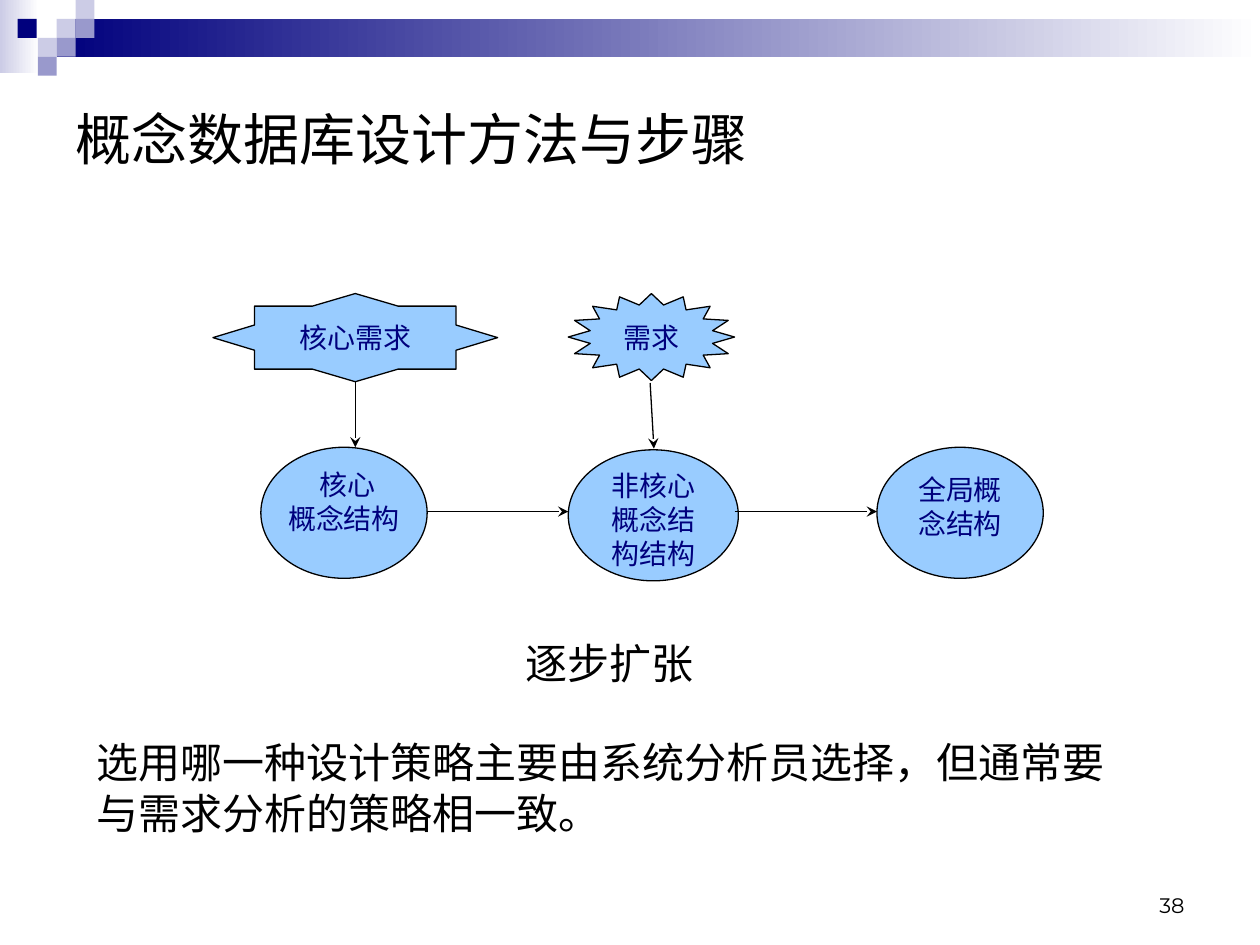
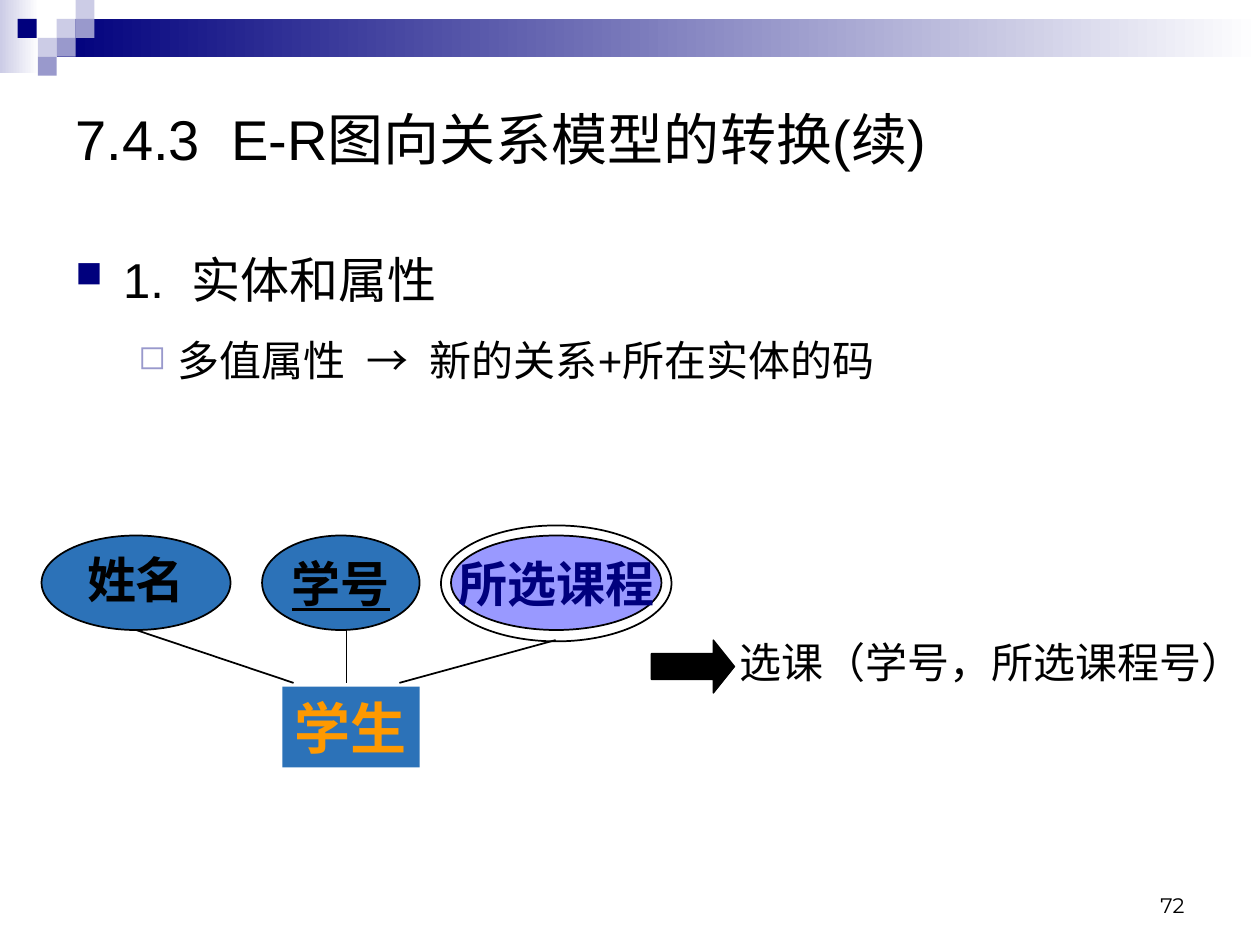
from lxml.etree import SubElement
from pptx import Presentation
from pptx.dml.color import RGBColor
from pptx.enum.shapes import MSO_CONNECTOR, MSO_SHAPE
from pptx.enum.text import MSO_ANCHOR, PP_ALIGN
from pptx.oxml.ns import qn
from pptx.util import Pt

EMU_PER_PX = 9144  # 100 px to the inch

BLACK = RGBColor(0x00, 0x00, 0x00)
WHITE = RGBColor(0xFF, 0xFF, 0xFF)
NAVY = RGBColor(0x00, 0x00, 0x7D)
LAVENDER = RGBColor(0x99, 0x99, 0xCC)
PALE_LAVENDER = RGBColor(0xCC, 0xCC, 0xE6)
SKY = RGBColor(0x99, 0xCC, 0xFF)
BLUE = RGBColor(0x2C, 0x72, 0xB8)
VIOLET = RGBColor(0x99, 0x99, 0xFF)
ORANGE = RGBColor(0xFF, 0x99, 0x00)

SANS = "Arial"
SERIF = "Times New Roman"
CHINESE = "Noto Sans CJK SC"
NUMBER_FONT = "Montserrat"

GAP = " "  # a run of its own, drawn twice as wide as a plain space

SQUARES = [(45, 15, PALE_LAVENDER), (60, 0, PALE_LAVENDER), (60, 15, LAVENDER),
           (30, 30, PALE_LAVENDER), (14, 15, NAVY), (45, 30, LAVENDER),
           (30, 45, LAVENDER)]


def px(length):
    return int(length * EMU_PER_PX)


def add_span(para, text, size, font=SERIF, color=BLACK, bold=False, underline=False):
    span = para.add_run()
    span.text = text
    span.font.size = Pt(size)
    span.font.name = font
    span.font.color.rgb = color
    span.font.bold = bold
    span.font.underline = underline
    properties = span.font._element
    SubElement(properties, qn("a:ea")).set("typeface", CHINESE)
    if text == GAP:
        properties.set("spc", str(size * 28))


def indent(para, left, hanging=0):
    properties = para._p.get_or_add_pPr()
    properties.set("marL", str(px(left)))
    properties.set("indent", str(px(-hanging)))


def add_bullet(para, symbol, color, percent):
    properties = para._p.get_or_add_pPr()
    fill = SubElement(SubElement(properties, qn("a:buClr")), qn("a:srgbClr"))
    fill.set("val", str(color))
    SubElement(properties, qn("a:buSzPct")).set("val", str(percent * 1000))
    SubElement(properties, qn("a:buChar")).set("char", symbol)


def set_up_frame(shape, anchor, insets=(10, 5), wrap=True):
    frame = shape.text_frame
    frame.word_wrap = wrap
    frame.vertical_anchor = anchor
    frame.margin_left = frame.margin_right = px(insets[0])
    frame.margin_top = frame.margin_bottom = px(insets[1])
    return frame


def add_box(page, place, anchor=MSO_ANCHOR.TOP, align=PP_ALIGN.LEFT):
    """Add a text box and return its first paragraph and its frame."""
    box = page.shapes.add_textbox(*map(px, place))
    frame = set_up_frame(box, anchor)
    para = frame.paragraphs[0]
    para.alignment = align
    return para, frame


def style_shape(shape, fill, line_width):
    shape.shadow.inherit = False
    if fill is None:
        shape.fill.background()
    else:
        shape.fill.solid()
        shape.fill.fore_color.rgb = fill
    if line_width:
        shape.line.color.rgb = BLACK
        shape.line.width = Pt(line_width)
    else:
        shape.line.fill.background()


def add_figure(page, kind, place, fill=None, line_width=0):
    shape = page.shapes.add_shape(kind, *map(px, place))
    style_shape(shape, fill, line_width)
    return shape


def label(shape, lines, size, color, anchor=MSO_ANCHOR.MIDDLE, insets=(10, 5),
          wrap=False, **style):
    frame = set_up_frame(shape, anchor, insets, wrap)
    for number, line in enumerate(lines):
        para = frame.add_paragraph() if number else frame.paragraphs[0]
        para.alignment = PP_ALIGN.CENTER
        add_span(para, line, size, color=color, **style)
    return frame


def add_line(page, start, end, width, arrow=False):
    line = page.shapes.add_connector(MSO_CONNECTOR.STRAIGHT, *map(px, start + end))
    line.line.color.rgb = BLACK
    line.line.width = Pt(width)
    properties = line._element.spPr
    if arrow:
        SubElement(properties.find(qn("a:ln")), qn("a:tailEnd")).set("type", "stealth")
    SubElement(properties, qn("a:effectLst"))


def add_fading_band(page, place, color):
    band = add_figure(page, MSO_SHAPE.RECTANGLE, place)
    band.fill.gradient()
    band.fill.gradient_angle = 0
    for stop, shade in zip(band.fill.gradient_stops, (color, WHITE)):
        stop.color.rgb = shade


def add_page(deck, title, number):
    """Add a slide with the header bands, the title and the page number."""
    page = deck.slides.add_slide(deck.slide_layouts[6])
    add_fading_band(page, (0, 0, 31, 58), PALE_LAVENDER)
    add_fading_band(page, (45, 15, 955, 30), NAVY)
    for left, top, color in SQUARES:
        add_figure(page, MSO_SHAPE.RECTANGLE, (left, top, 15, 15), color)
    para, _ = add_box(page, (717, 683, 233, 50), MSO_ANCHOR.BOTTOM, PP_ALIGN.RIGHT)
    add_span(para, number, 12, NUMBER_FONT)
    para, _ = add_box(page, (50, 64, 900, 91), MSO_ANCHOR.MIDDLE)
    for text in title:
        add_span(para, text, 32, SANS)
    return page


def add_core_burst(page, center_x, center_y):
    """Draw the eight-pointed outline by mirroring one quarter of it."""
    quarter = [(113, 0), (80, 10), (80, 25), (34, 25), (0, 35)]
    lower = quarter + [(-x, y) for x, y in quarter[-2::-1]]
    outline = lower + [(x, -y) for x, y in lower[-2:0:-1]]
    points = [(center_x + x, center_y + y) for x, y in outline]
    builder = page.shapes.build_freeform(*points[0], scale=EMU_PER_PX)
    builder.add_line_segments(points[1:], close=True)
    burst = builder.convert_to_shape()
    style_shape(burst, SKY, 0.75)
    return burst


def build_expansion_page(deck):
    page = add_page(deck, ["概念数据库设计方法与步骤"], "38")
    label(add_core_burst(page, 282, 268), ["核心需求"], 16, NAVY)
    need = add_figure(page, MSO_SHAPE.STAR_16_POINT, (451, 233, 132, 69), SKY, 0.75)
    label(need, ["需求"], 16, NAVY, insets=(0, 0))

    structures = [((207, 355, 132, 104), ["核心", "概念结构"], (2, 1)),
                  ((451, 357, 135, 104), ["非核心概念结构结构"], (6, 0)),
                  ((696, 355, 132, 104), ["全局概念结构"], (10, 5))]
    for place, lines, insets in structures:
        ellipse = add_figure(page, MSO_SHAPE.OVAL, place, SKY, 0.75)
        frame = label(ellipse, lines, 16, NAVY, MSO_ANCHOR.TOP, insets, wrap=True)
        if len(lines) > 1:
            indent(frame.paragraphs[0], 5)

    arrows = [((282, 303), (282, 355)), ((516, 304), (519, 356)),
              ((339, 406), (451, 406)), ((583, 406), (696, 406))]
    for start, end in arrows:
        add_line(page, start, end, 0.75, arrow=True)

    para, _ = add_box(page, (67, 580, 833, 90))
    add_span(para, "选用哪一种设计策略主要由系统分析员选择，但通常要与需求分析的策略相一致。",
             24, CHINESE)
    para, _ = add_box(page, (366, 501, 236, 50), align=PP_ALIGN.CENTER)
    add_span(para, "逐步扩张", 24)


def build_conversion_page(deck):
    page = add_page(deck, ["7.4.3", GAP, "E-R图向关系模型的转换(续)"], "72")
    para, frame = add_box(page, (50, 193, 900, 127))
    indent(para, 38, 38)
    add_bullet(para, "■", NAVY, 75)
    for text in ("1.", GAP, "实体和属性"):
        add_span(para, text, 28, SANS)
    para = frame.add_paragraph()
    para.level = 1
    para.space_before = Pt(15)
    indent(para, 81, 31)
    add_bullet(para, "◻", LAVENDER, 80)
    for text in ("多值属性", GAP, "→", GAP, "新的关系+所在实体的码"):
        add_span(para, text, 24, SANS)

    student = add_figure(page, MSO_SHAPE.RECTANGLE, (224, 545, 109, 64), BLUE)
    label(student, ["学生"], 32, ORANGE, bold=True)
    add_figure(page, MSO_SHAPE.OVAL, (350, 417, 183, 92), line_width=1)
    attributes = [("姓名", 33, 150, BLUE, BLACK, False),
                  ("学号", 208, 125, BLUE, BLACK, True),
                  ("所选课程", 358, 167, VIOLET, NAVY, False)]
    for name, left, width, fill, color, is_key in attributes:
        ellipse = add_figure(page, MSO_SHAPE.OVAL, (left, 425, width, 75), fill, 1)
        frame = label(ellipse, [name], 28, color, bold=True, underline=is_key)
        if name == "姓名":
            frame.paragraphs[0].line_spacing = 0.9
    for start, end in [((275, 500), (275, 542)), ((233, 542), (108, 500)),
                       ((317, 542), (441, 508))]:
        add_line(page, start, end, 1)

    arrow = add_figure(page, MSO_SHAPE.RIGHT_ARROW, (517, 508, 66, 42), BLACK, 0.75)
    arrow.adjustments[0] = 0.49
    arrow.adjustments[1] = 0.4
    para, _ = add_box(page, (527, 500, 475, 50))
    indent(para, 81, 31)
    add_span(para, "选课（", 24, SANS)
    add_span(para, "学号，所选课程号）", 24)


def main():
    deck = Presentation()
    deck.slide_width = px(1000)
    deck.slide_height = px(750)
    build_expansion_page(deck)
    build_conversion_page(deck)
    deck.save("out.pptx")


if __name__ == "__main__":
    main()
